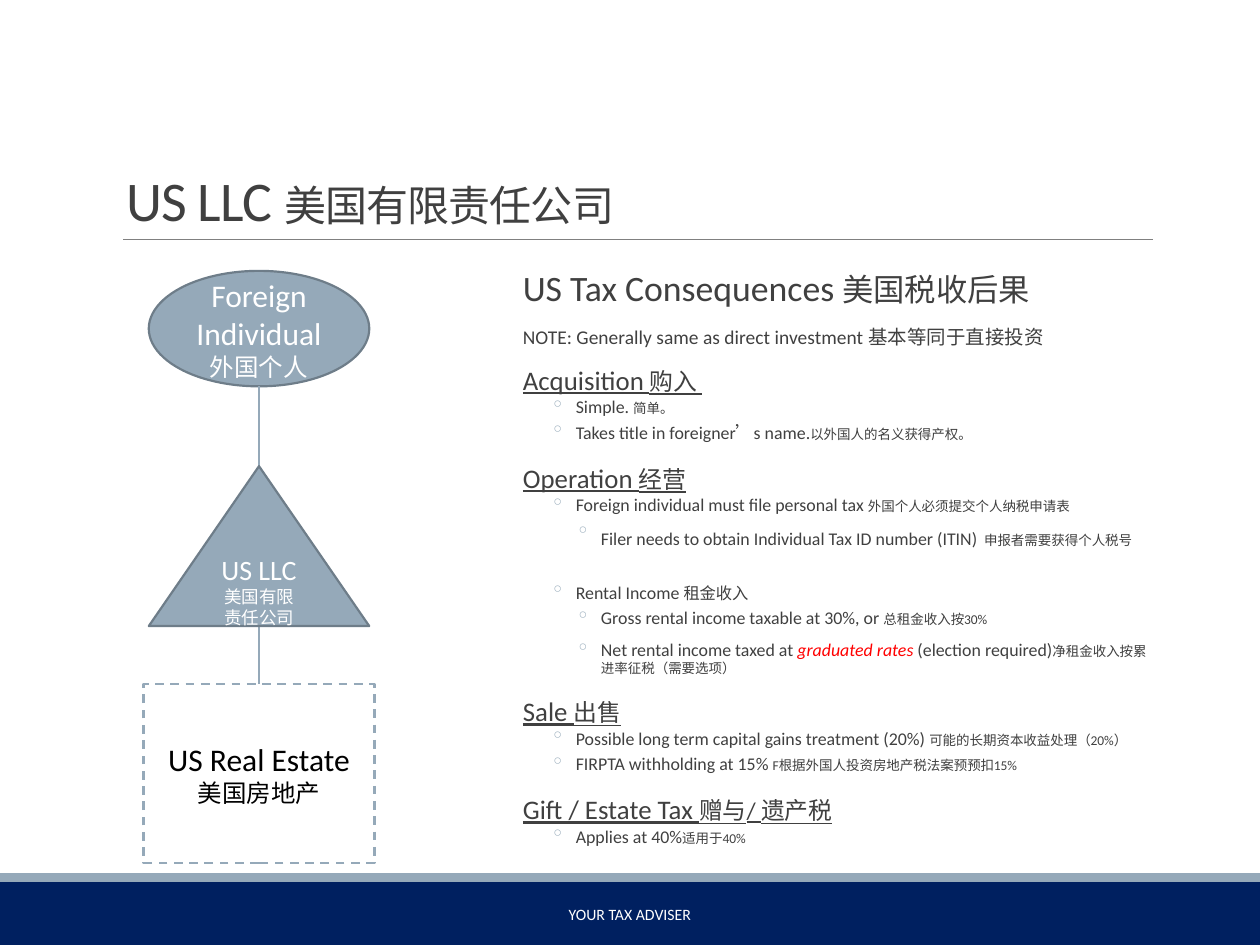
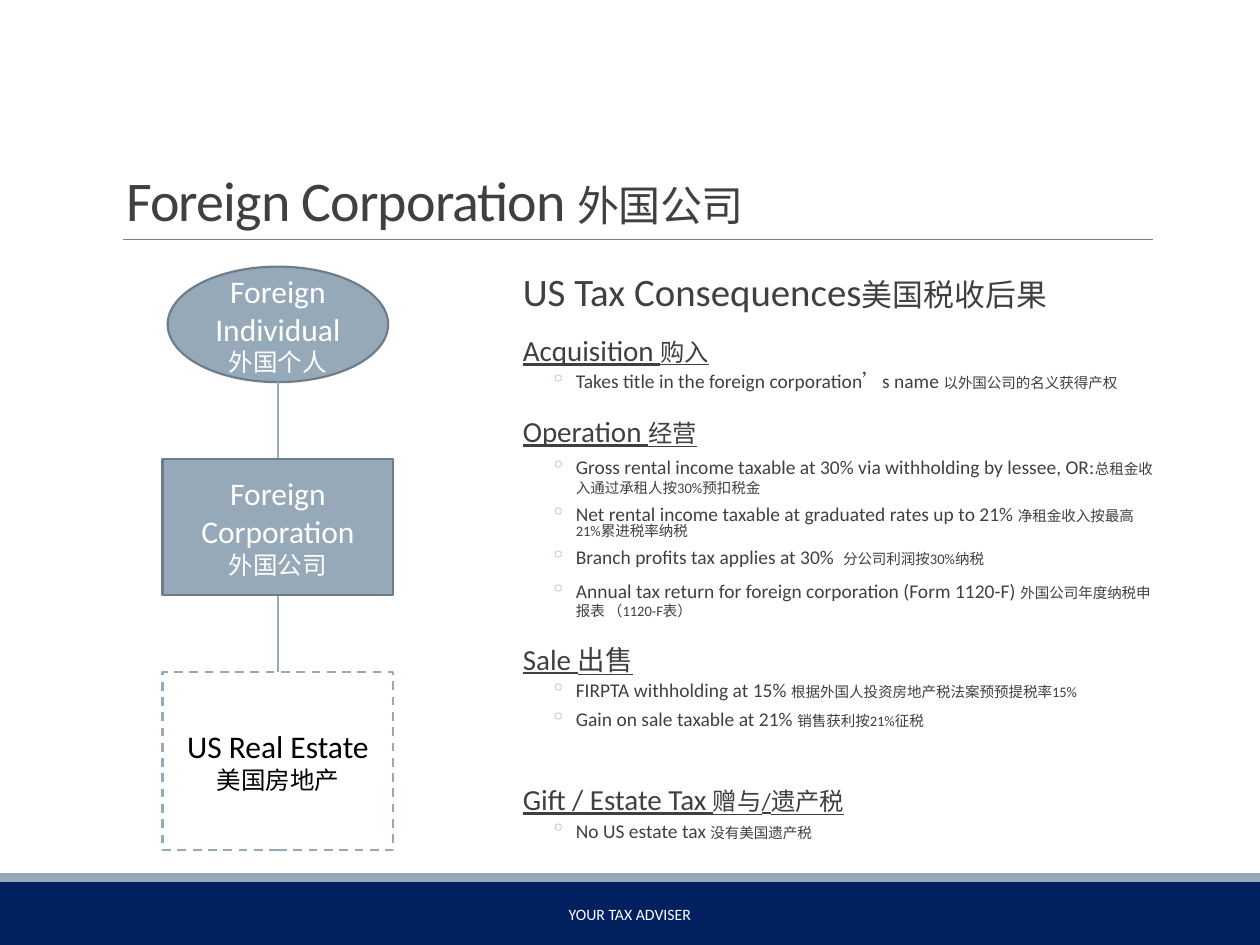
import pptx
import pptx.dml.color
import pptx.enum.dml
import pptx.enum.shapes
import pptx.enum.text
import pptx.util
from lxml import etree
from pptx.oxml.ns import qn

Pt = pptx.util.Pt
RGB = pptx.dml.color.RGBColor
SHAPES = pptx.enum.shapes.MSO_SHAPE
ANCHOR = pptx.enum.text.MSO_ANCHOR
ALIGN = pptx.enum.text.PP_ALIGN

NAVY = RGB(0x00, 0x20, 0x60)
STEEL = RGB(0x95, 0xA9, 0xB9)
STEEL_DARK = RGB(0x6E, 0x7D, 0x89)
RULE_GRAY = RGB(0x80, 0x80, 0x80)
INK = RGB(0x40, 0x40, 0x40)
RED = RGB(0xFF, 0x00, 0x00)
BLACK = RGB(0x00, 0x00, 0x00)
WHITE = RGB(0xFF, 0xFF, 0xFF)
FONT = "Calibri"

# Content: each body row is kind, English, Chinese, exceptions to the kind's format
FOOTER = "YOUR TAX ADVISER"
OWNER = ("Foreign Individual", "外国个人")
ASSET = ("US Real Estate", "美国房地产")

LLC = {
    "title": ("US LLC ", "美国有限责任公司"),
    "axis": 148, "owner_top": 154.8, "asset_top": 391,
    "entity": {"names": ("US LLC", "美国有限责任公司"), "form": SHAPES.ISOSCELES_TRIANGLE,
               "top": 266.4, "width": 126, "height": 91.4, "sizes": (16, 10),
               "anchor": ANCHOR.TOP},
    "line_spacing": 0.7,
    "sizes": {"lead": (20.4, 17.9), "note": (11.1, 11.1), "head": (15.3, 13.6),
              "point": (10.2, 7.7), "subpoint": (10.2, 7.7)},
    "rows": [
        ("lead", "US Tax Consequences ", "美国税收后果", {}),
        ("note", "NOTE: Generally same as direct investment ", "基本等同于直接投资", {}),
        ("head", "Acquisition", " 购入 ", {}),
        ("point", "Simple. ", "简单。", {}),
        ("point", "Takes title in foreigner’s name.", "以外国人的名义获得产权。", {}),
        ("head", "Operation ", "经营", {}),
        ("point", "Foreign individual must file personal tax ",
         "外国个人必须提交个人纳税申请表", {}),
        ("subpoint", "Filer needs to obtain Individual Tax ID number (ITIN)",
         "申报者需要获得个人税号", {"gap_size": 17, "after": 19}),
        ("point", "Rental Income ", "租金收入", {"zh_size": 9.3}),
        ("subpoint", "Gross rental income taxable at 30%, or ", "总租金收入按30%", {}),
        ("subpoint", "Net rental income taxed at graduated rates (election required)",
         "净租金收入按累进率征税（需要选项）",
         {"emphasis": "graduated rates ", "line_spacing": 1.0}),
        ("head", "Sale ", "出售", {}),
        ("point", "Possible long term capital gains treatment (20%) ",
         "可能的长期资本收益处理（20%）", {}),
        ("point", "FIRPTA withholding at 15% ", "F根据外国人投资房地产税法案预预扣15%", {}),
        ("head", "Gift / Estate Tax ", "赠与/ 遗产税", {}),
        ("point", "Applies at 40%", "适用于40%", {}),
    ],
}

CORPORATION = {
    "title": ("Foreign Corporation ", "外国公司"),
    "axis": 158.8, "owner_top": 152.4, "asset_top": 383.8,
    "entity": {"names": ("Foreign Corporation", "外国公司"), "form": SHAPES.RECTANGLE,
               "top": 262.2, "width": 132, "height": 77.8},
    "line_spacing": 0.8,
    "sizes": {"lead": (22.2, 17.6), "head": (16.6, 13.9), "point": (11.1, 8.3)},
    "rows": [
        ("lead", "US Tax Consequences", "美国税收后果", {}),
        ("head", "Acquisition ", "购入", {}),
        ("point", "Takes title in the foreign corporation’s name ",
         "以外国公司的名义获得产权", {}),
        ("head", "Operation ", "经营", {}),
        ("point", "Gross rental income taxable at 30% via withholding by lessee, OR:",
         "总租金收入通过承租人按30%预扣税金", {"line_spacing": 1.0}),
        ("point", "Net rental income taxable at graduated rates up to 21% ",
         "净租金收入按最高21%累进税率纳税", {}),
        ("point", "Branch profits tax applies at 30%  ", "分公司利润按30%纳税", {}),
        ("point", "Annual tax return for foreign corporation (Form 1120-F) ",
         "外国公司年度纳税申报表 （1120-F表）", {"line_spacing": 1.0}),
        ("head", "Sale ", "出售", {"zh_size": 15.7}),
        ("point", "FIRPTA withholding at 15% ", "根据外国人投资房地产税法案预预提税率15%", {}),
        ("point", "Gain on sale taxable at 21% ", "销售获利按21%征税", {"after": 21}),
        ("head", "Gift / Estate Tax ", "赠与/遗产税", {}),
        ("point", "No US estate tax ", "没有美国遗产税", {}),
    ],
}

KINDS = {
    "lead": {"before": 12, "after": 2},
    "note": {"before": 12, "after": 2},
    "head": {"before": 12, "after": 2, "underline": True},
    "point": {"before": 2, "after": 4, "indent": 30.24},
    "subpoint": {"before": 2, "after": 4, "indent": 44.64},
}
HANGING = 14.4


def write(frame, text, size, color=INK, zh="", zh_size=None, new=True, align=ALIGN.LEFT,
          before=0, after=0, line_spacing=None, indent=None, underline=None,
          emphasis=None, gap_size=None, tracking=None):
    """Write one paragraph: English text, then Chinese at its own size."""
    paragraph = frame.add_paragraph() if new else frame.paragraphs[0]
    if indent:
        props = paragraph._p.get_or_add_pPr()
        props.set("marL", str(int(Pt(indent))))
        props.set("indent", str(int(Pt(-HANGING))))
        bullet_color = etree.SubElement(props, qn("a:buClr"))
        etree.SubElement(bullet_color, qn("a:srgbClr"), val=str(STEEL))
        etree.SubElement(props, qn("a:buChar"), char="◦")
    paragraph.alignment = align
    paragraph.space_before = Pt(before if new else 0)
    paragraph.space_after = Pt(after)
    paragraph.line_spacing = line_spacing

    start, marked, rest = text.partition(emphasis) if emphasis else (text, "", "")
    pieces = [(start, size), (marked, size), (rest, size),
              (" " if gap_size else "", gap_size), (zh, zh_size)]
    for piece, piece_size in pieces:
        if not piece:
            continue
        run = paragraph.add_run()
        run.text = piece
        run.font.name = FONT
        run.font.size = Pt(piece_size)
        run.font.underline = underline
        run.font.color.rgb = color
        if piece == emphasis:
            run.font.italic = True
            run.font.color.rgb = RED
        if tracking:
            run._r.get_or_add_rPr().set("spc", str(int(tracking * 100)))


def add_block(slide, form, left, top, width, height, fill, outline=None, dashed=False):
    block = slide.shapes.add_shape(form, Pt(left), Pt(top), Pt(width), Pt(height))
    block.shadow.inherit = False
    block.fill.solid()
    block.fill.fore_color.rgb = fill
    if outline is None:
        block.line.fill.background()
    else:
        block.line.color.rgb = outline
        block.line.width = Pt(1.25)
        if dashed:
            block.line.dash_style = pptx.enum.dml.MSO_LINE.DASH
    return block


def add_line(slide, x1, y1, x2, y2, color, weight):
    line = slide.shapes.add_connector(pptx.enum.shapes.MSO_CONNECTOR.STRAIGHT,
                                      Pt(x1), Pt(y1), Pt(x2), Pt(y2))
    line.line.color.rgb = color
    line.line.width = Pt(weight)
    etree.SubElement(line._element.spPr, qn("a:effectLst"))


def add_textbox(slide, left, top, width, height):
    frame = slide.shapes.add_textbox(Pt(left), Pt(top), Pt(width), Pt(height)).text_frame
    frame.word_wrap = True
    return frame


def add_party(slide, axis, names, form, top, width, height, fill=STEEL, outline=STEEL_DARK,
              color=WHITE, sizes=(18, 14), anchor=ANCHOR.MIDDLE, dashed=False):
    """Add one box of the ownership chart, centred on the axis."""
    frame = add_block(slide, form, axis - width / 2, top, width, height,
                      fill, outline, dashed).text_frame
    frame.word_wrap = True
    frame.vertical_anchor = anchor
    for number, (name, size) in enumerate(zip(names, sizes)):
        write(frame, name, size, color, new=number > 0, align=ALIGN.CENTER)


def add_frame(slide, names):
    """Add the bands, footer, title rule and title."""
    add_block(slide, SHAPES.RECTANGLE, 0, 504, 720, 36, NAVY)
    add_block(slide, SHAPES.RECTANGLE, 0, 499, 720, 5, STEEL)
    add_line(slide, 70.5, 136.8, 658.8, 136.8, RULE_GRAY, 0.5)
    footer = add_textbox(slide, 217.4, 508.3, 285, 28.8)
    footer.vertical_anchor = ANCHOR.MIDDLE
    write(footer, FOOTER, 9, WHITE, new=False, align=ALIGN.CENTER)

    title = slide.shapes.title
    title.left, title.top, title.width, title.height = Pt(64.8), Pt(22.3), Pt(594), Pt(114.5)
    title.text_frame.auto_size = pptx.enum.text.MSO_AUTO_SIZE.NONE
    title.text_frame.vertical_anchor = ANCHOR.BOTTOM
    write(title.text_frame, names[0], 32, zh=names[1], zh_size=24, new=False,
          line_spacing=0.85, tracking=-0.5)


def add_ownership(slide, content):
    axis, owner_top, asset_top = content["axis"], content["owner_top"], content["asset_top"]
    owner_height = 66
    add_party(slide, axis, OWNER, SHAPES.OVAL, owner_top, 126, owner_height)
    add_party(slide, axis, ASSET, SHAPES.RECTANGLE, asset_top, 132, 102,
              fill=WHITE, outline=STEEL, color=BLACK, dashed=True)
    add_line(slide, axis, owner_top + owner_height, axis, asset_top, STEEL, 1)
    add_party(slide, axis, **content["entity"])


def add_consequences(slide, content):
    frame = add_textbox(slide, 298.8, 154.8, 360, 338.4)
    frame.margin_left = frame.margin_right = 0
    for number, (kind, english, chinese, exceptions) in enumerate(content["rows"]):
        size, zh_size = content["sizes"][kind]
        style = {"zh_size": zh_size, "line_spacing": content["line_spacing"],
                 **KINDS[kind], **exceptions}
        write(frame, english, size, zh=chinese, new=number > 0, **style)


def main():
    deck = pptx.Presentation()
    deck.slide_width, deck.slide_height = Pt(720), Pt(540)
    for content in (LLC, CORPORATION):
        slide = deck.slides.add_slide(deck.slide_layouts[5])
        add_frame(slide, content["title"])
        add_consequences(slide, content)
        add_ownership(slide, content)
    deck.save("out.pptx")


if __name__ == "__main__":
    main()
